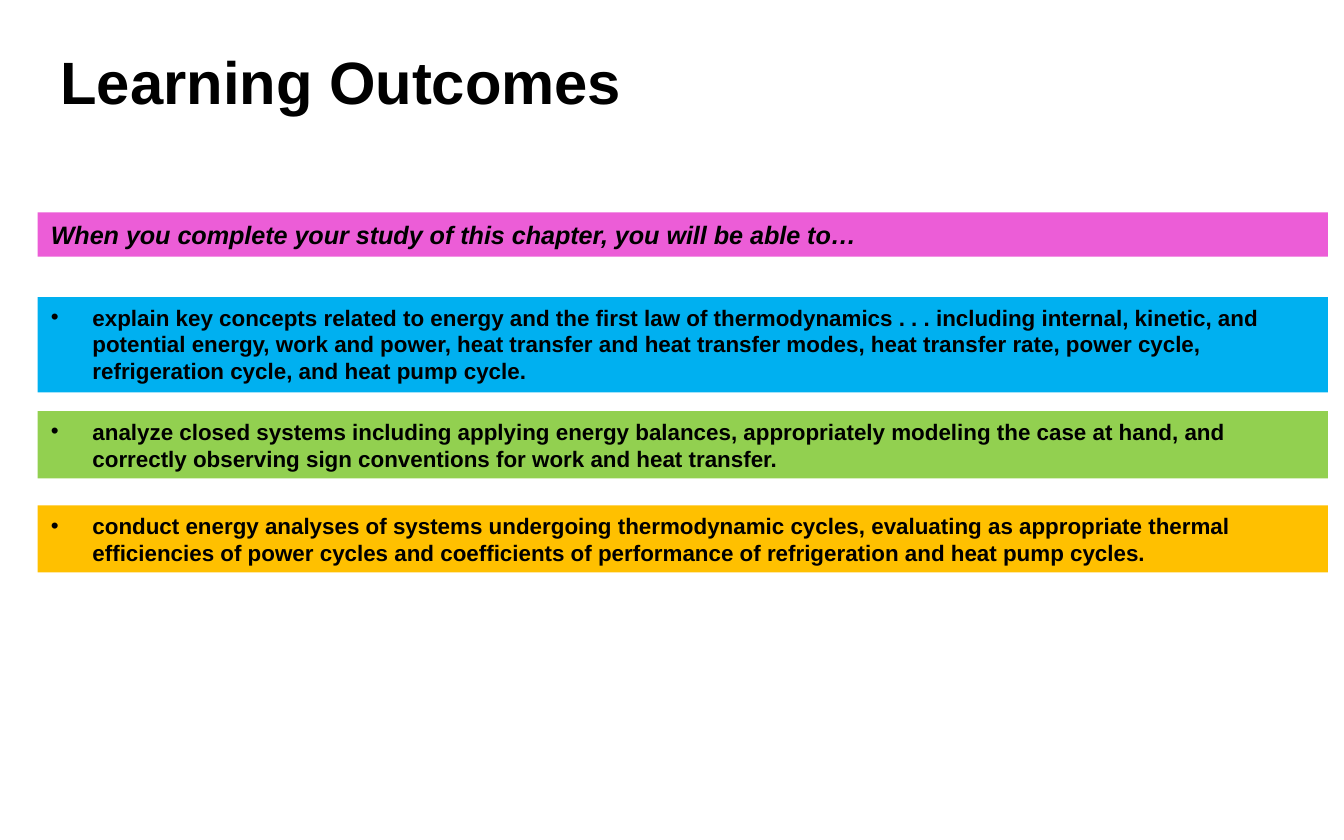
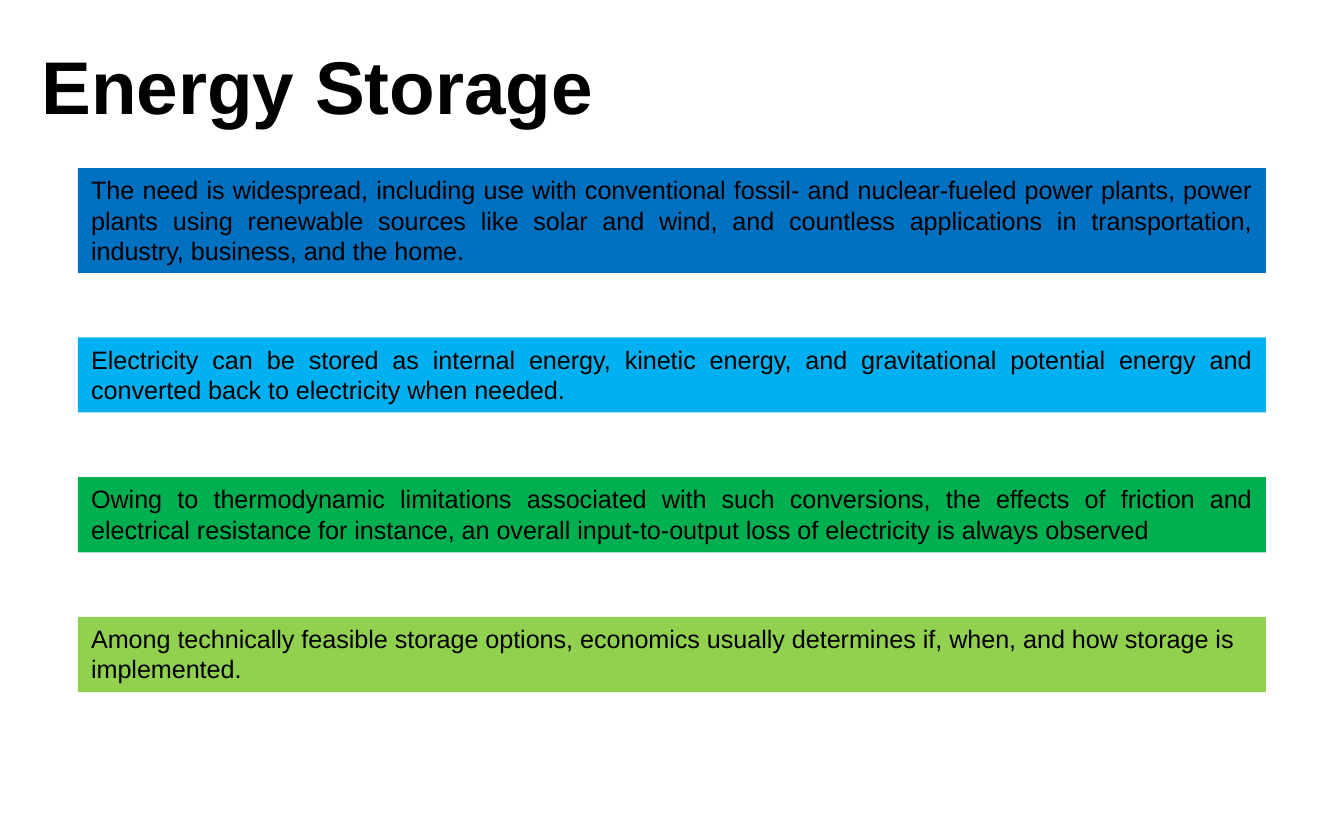
from pptx import Presentation
from pptx.dml.color import RGBColor
from pptx.enum.shapes import MSO_SHAPE
from pptx.enum.text import MSO_ANCHOR, PP_ALIGN
from pptx.oxml.ns import qn
from pptx.util import Inches, Pt
from lxml.etree import SubElement

FONT = "Arial"
TITLE_ONLY = 5
COLORS = {
    "text": "000000",
    "pink": "EC5DD7",
    "sky": "00B0F0",
    "lime": "92D050",
    "amber": "FFC000",
    "blue": "0070C0",
    "green": "00B050",
}

# top, height, colour, text
OUTCOMES = [
    (2.21, 0.71, "sky",
     "explain key concepts related to energy and the first law of thermodynamics . . . "
     "including internal, kinetic, and potential energy, work and power, heat transfer and "
     "heat transfer modes, heat transfer rate, power cycle, refrigeration cycle, and heat "
     "pump cycle."),
    (3.06, 0.5, "lime",
     "analyze closed systems including applying energy balances, appropriately modeling the "
     "case at hand, and correctly observing sign conventions for work and heat transfer."),
    (3.76, 0.5, "amber",
     "conduct energy analyses of systems undergoing thermodynamic cycles, evaluating as "
     "appropriate thermal efficiencies of power cycles and coefficients of performance of "
     "refrigeration and heat pump cycles."),
]

# height, colour, alignment, text
STORAGE_POINTS = [
    (0.78, "blue", PP_ALIGN.JUSTIFY,
     "The need is widespread, including use with conventional fossil- and nuclear-fueled "
     "power plants, power plants using renewable sources like solar and wind, and countless "
     "applications in transportation, industry, business, and the home."),
    (0.56, "sky", PP_ALIGN.JUSTIFY,
     "Electricity can be stored as internal energy, kinetic energy, and gravitational "
     "potential energy and converted back to electricity when needed."),
    (0.56, "green", PP_ALIGN.JUSTIFY,
     "Owing to thermodynamic limitations associated with such conversions, the effects of "
     "friction and electrical resistance for instance, an overall input-to-output loss of "
     "electricity is always observed"),
    (0.56, "lime", PP_ALIGN.LEFT,
     "Among technically feasible storage options, economics usually determines if, when, "
     "and how storage is implemented."),
]


def place(shape, left, top, width, height):
    shape.left, shape.top = Inches(left), Inches(top)
    shape.width, shape.height = Inches(width), Inches(height)


def style(paragraph, size, bold=False, italic=False, align=PP_ALIGN.LEFT):
    paragraph.alignment = align
    font = paragraph.font
    font.name, font.size = FONT, Pt(size)
    font.bold, font.italic = bold, italic
    font.color.rgb = RGBColor.from_string(COLORS["text"])


def add_bullet(paragraph, indent=0.31):
    properties = paragraph._p.get_or_add_pPr()
    properties.set("marL", str(Inches(indent)))
    properties.set("indent", str(-Inches(indent)))
    SubElement(properties, qn("a:buFont")).set("typeface", FONT)
    SubElement(properties, qn("a:buChar")).set("char", "•")


def add_titled_slide(presentation, text, size, box, inset_left, inset_top):
    slide = presentation.slides.add_slide(presentation.slide_layouts[TITLE_ONLY])
    title = slide.shapes.title
    place(title, *box)
    frame = title.text_frame
    frame.text = text
    frame.word_wrap = True
    frame.vertical_anchor = MSO_ANCHOR.TOP
    frame.margin_left, frame.margin_top = Inches(inset_left), Inches(inset_top)
    frame.margin_right = frame.margin_bottom = 0
    style(frame.paragraphs[0], size, bold=True)
    return slide


def add_band(slide, box, color, text, size, bullet=False, **text_style):
    """Add a filled rectangle holding one paragraph."""
    band = slide.shapes.add_shape(MSO_SHAPE.RECTANGLE, *map(Inches, box))
    band.shadow.inherit = False
    band.fill.solid()
    band.fill.fore_color.rgb = RGBColor.from_string(COLORS[color])
    band.line.fill.background()
    frame = band.text_frame
    frame.word_wrap = True
    frame.vertical_anchor = MSO_ANCHOR.TOP
    frame.text = text
    paragraph = frame.paragraphs[0]
    if bullet:
        add_bullet(paragraph)
    style(paragraph, size, **text_style)


def add_outcomes_slide(presentation):
    left, width = 0.28, 9.6
    slide = add_titled_slide(presentation, "Learning Outcomes", 32,
                             (0.23, 0.25, 4.53, 0.64), 0.22, 0.08)
    for top, height, color, text in OUTCOMES:
        add_band(slide, (left, top, width, height), color, text, 12, bullet=True, bold=True)
    add_band(slide, (left, 1.58, width, 0.33), "pink",
             "When you complete your study of this chapter, you will be able to…",
             13.5, bold=True, italic=True)


def add_storage_slide(presentation):
    left, top, width, gap = 0.58, 1.25, 8.84, 0.48
    slide = add_titled_slide(presentation, "Energy Storage", 40,
                             (0.31, 0.24, 4.43, 1.27), 0, 0.06)
    for height, color, align, text in STORAGE_POINTS:
        add_band(slide, (left, top, width, height), color, text, 13.5, align=align)
        top += height + gap


def main():
    presentation = Presentation()
    presentation.slide_width, presentation.slide_height = Inches(10), Inches(6.25)
    add_outcomes_slide(presentation)
    add_storage_slide(presentation)
    presentation.save("out.pptx")


if __name__ == "__main__":
    main()
